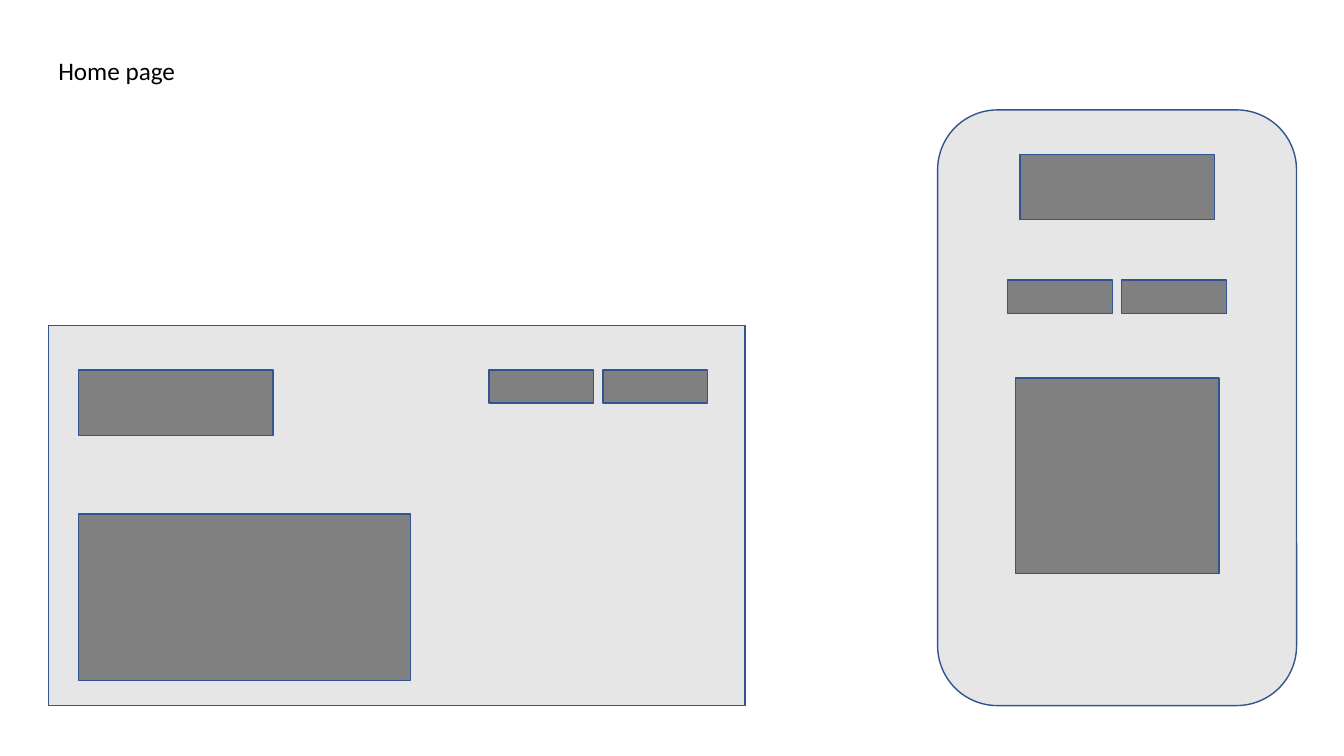
"""Home page wireframes: a desktop layout and a phone layout."""
from dataclasses import dataclass

from pptx import Presentation
from pptx import util as u
from pptx.dml.color import RGBColor
from pptx.enum import shapes, text


@dataclass(frozen=True)
class Theme:
    """Colours, line width and type for the slide."""
    screen: str = "E7E6E6"
    block: str = "808080"
    outline: str = "325491"
    ink: str = "000000"
    outline_width: float = 1
    font: str = "Calibri"
    title_size: float = 18


THEME = Theme()
LOGO_SIZE = (1.93, 0.65)
BUTTON_SIZE = (1.04, 0.33)
BUTTON_STEP = 1.13


def add_text(slide, box, content, size=THEME.title_size, color=THEME.ink,
             font=THEME.font):
    """Add a wrapped text box with one formatted paragraph."""
    shape = slide.shapes.add_textbox(*map(u.Inches, box))
    frame = shape.text_frame
    frame.word_wrap = True
    frame.auto_size = text.MSO_AUTO_SIZE.SHAPE_TO_FIT_TEXT
    run = frame.paragraphs[0].add_run()
    run.text = content
    run.font.name = font
    run.font.size = u.Pt(size)
    run.font.color.rgb = RGBColor.from_string(color)
    return shape


def add_panel(slide, box, fill=THEME.block, kind=shapes.MSO_SHAPE.RECTANGLE):
    """Add a filled, outlined shape without a shadow."""
    shape = slide.shapes.add_shape(kind, *map(u.Inches, box))
    shape.shadow.inherit = False
    shape.fill.solid()
    shape.fill.fore_color.rgb = RGBColor.from_string(fill)
    shape.line.color.rgb = RGBColor.from_string(THEME.outline)
    shape.line.width = u.Pt(THEME.outline_width)
    return shape


def add_buttons(slide, left, top):
    """Add the pair of navigation buttons from the given corner."""
    for index in range(2):
        add_panel(slide, (left + index * BUTTON_STEP, top, *BUTTON_SIZE))


def add_desktop(slide, box):
    """Draw the desktop screen: logo left, buttons right, content below."""
    left, top, width, height = box
    margin, header_top = 0.3, top + 0.44
    content_width, content_height = 3.29, 1.65
    add_panel(slide, box, fill=THEME.screen)
    add_panel(slide, (left + margin, header_top, *LOGO_SIZE))
    buttons_width = BUTTON_STEP + BUTTON_SIZE[0]
    add_buttons(slide, left + width - 0.37 - buttons_width, header_top)
    content_top = top + height - 0.25 - content_height
    add_panel(slide, (left + margin, content_top,
                      content_width, content_height))


def add_phone(slide, box):
    """Draw the phone screen: logo, buttons and content centred in a column."""
    left, top, width, _ = box
    center = left + width / 2
    content_width, content_height = 2.02, 1.94
    add_panel(slide, box, fill=THEME.screen,
              kind=shapes.MSO_SHAPE.ROUNDED_RECTANGLE)
    add_panel(slide, (center - LOGO_SIZE[0] / 2, top + 0.44, *LOGO_SIZE))
    buttons_width = BUTTON_STEP + BUTTON_SIZE[0]
    add_buttons(slide, center - buttons_width / 2, top + 1.69)
    add_panel(slide, (center - content_width / 2, top + 2.66,
                      content_width, content_height))


def build_home_page(presentation):
    """Add the slide that compares the two home page layouts."""
    slide = presentation.slides.add_slide(presentation.slide_layouts[6])
    add_desktop(slide, (0.48, 3.23, 6.91, 3.77))
    add_phone(slide, (9.3, 1.09, 3.56, 5.91))
    add_text(slide, (0.48, 0.5, 3.66, 0.4), "Home page")


presentation = Presentation()
presentation.slide_width = u.Inches(13.33)
presentation.slide_height = u.Inches(7.5)
build_home_page(presentation)
presentation.save("out.pptx")
